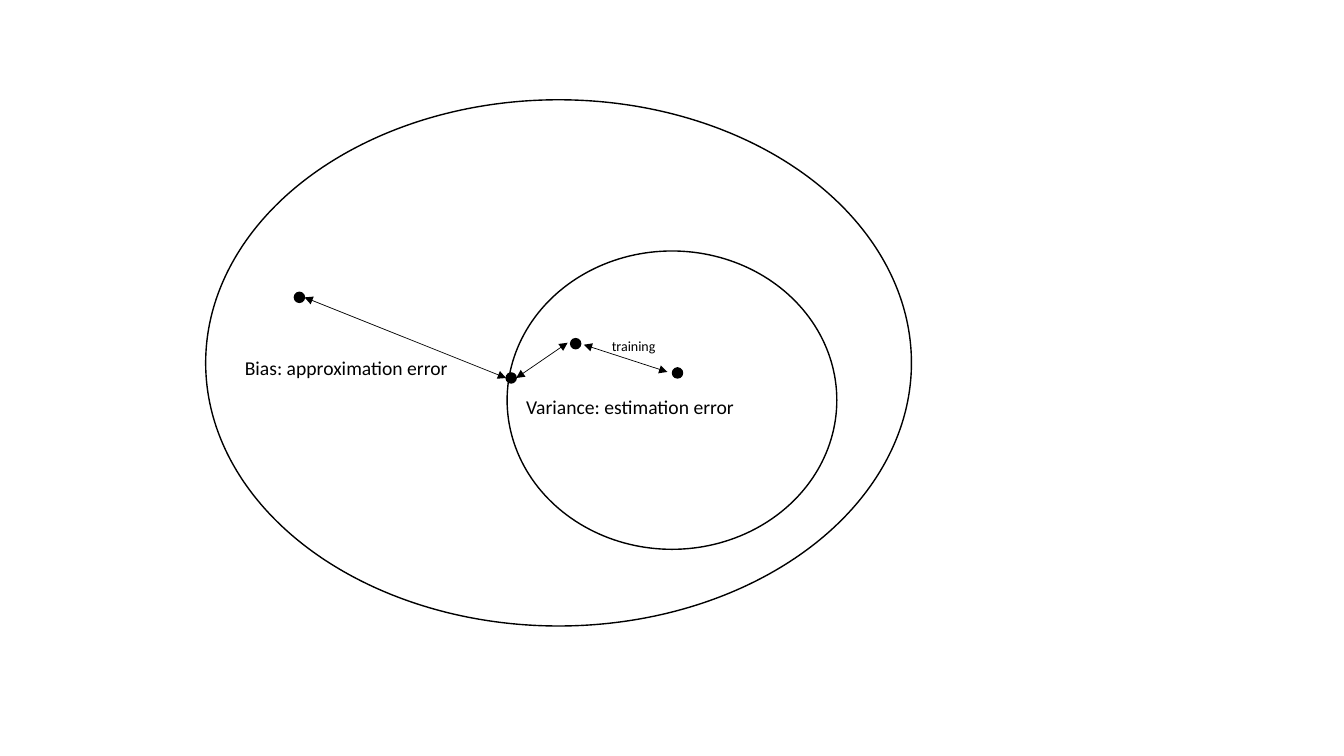
import dataclasses

import lxml.etree
import pptx
import pptx.dml.color
import pptx.enum.shapes
import pptx.enum.text
import pptx.oxml.ns
import pptx.util

Inches = pptx.util.Inches
Pt = pptx.util.Pt
qn = pptx.oxml.ns.qn


@dataclasses.dataclass(frozen=True)
class Theme:
    ink: str = "000000"
    paper: str = "FFFFFF"
    font: str = "Calibri"
    label_size: float = 14
    note_size: float = 10
    outline: float = 1
    arrow: float = 0.5
    dot: float = 0.1


class Diagram:
    def __init__(self, slide, theme):
        self.slide = slide
        self.theme = theme

    def color(self, value):
        return pptx.dml.color.RGBColor.from_string(value)

    def ellipse(self, left, top, width, height, fill):
        shape = self.slide.shapes.add_shape(
            pptx.enum.shapes.MSO_SHAPE.OVAL,
            Inches(left), Inches(top), Inches(width), Inches(height))
        shape.shadow.inherit = False
        shape.fill.solid()
        shape.fill.fore_color.rgb = self.color(fill)
        shape.line.color.rgb = self.color(self.theme.ink)
        shape.line.width = Pt(self.theme.outline)

    def region(self, left, top, width, height):
        self.ellipse(left, top, width, height, self.theme.paper)

    def point(self, left, top):
        self.ellipse(left, top, self.theme.dot, self.theme.dot, self.theme.ink)

    def double_arrow(self, start, end):
        connector = self.slide.shapes.add_connector(
            pptx.enum.shapes.MSO_CONNECTOR.STRAIGHT,
            *(Inches(value) for value in (*start, *end)))
        connector.line.color.rgb = self.color(self.theme.ink)
        connector.line.width = Pt(self.theme.arrow)
        line = connector.line._get_or_add_ln()
        for tag in ("a:headEnd", "a:tailEnd"):
            lxml.etree.SubElement(line, qn(tag), type="triangle")
        properties = connector._element.spPr
        lxml.etree.SubElement(properties, qn("a:effectLst"))

    def label(self, text, left, top, width, height, size):
        box = self.slide.shapes.add_textbox(
            Inches(left), Inches(top), Inches(width), Inches(height))
        frame = box.text_frame
        frame.word_wrap = False
        frame.auto_size = pptx.enum.text.MSO_AUTO_SIZE.SHAPE_TO_FIT_TEXT
        run = frame.paragraphs[0].add_run()
        run.text = text
        run.font.name = self.theme.font
        run.font.size = Pt(size)
        run.font.color.rgb = self.color(self.theme.ink)


def main():
    presentation = pptx.Presentation()
    presentation.slide_width = Inches(13.33)
    presentation.slide_height = Inches(7.5)
    slide = presentation.slides.add_slide(presentation.slide_layouts[6])
    theme = Theme()
    diagram = Diagram(slide, theme)

    # Outer space and the model class inside it
    diagram.region(2.04, 0.99, 7, 5.22)
    diagram.region(5.03, 2.49, 3.27, 2.96)

    # Target, best in class, initial and trained models
    for left, top in ((2.92, 2.9), (5.02, 3.7), (6.67, 3.65), (5.66, 3.36)):
        diagram.point(left, top)

    # Errors and training step between the points
    diagram.double_arrow((3.02, 2.95), (5.02, 3.75))
    diagram.double_arrow((5.12, 3.75), (5.63, 3.4))
    diagram.double_arrow((6.62, 3.69), (5.79, 3.42))

    # Labels
    diagram.label("Bias: approximation error", 2.33, 3.48, 2.24, 0.34, theme.label_size)
    diagram.label("Variance: estimation error", 5.12, 3.87, 2.29, 0.34, theme.label_size)
    diagram.label("training", 5.97, 3.3, 0.64, 0.27, theme.note_size)

    presentation.save("out.pptx")


if __name__ == "__main__":
    main()
